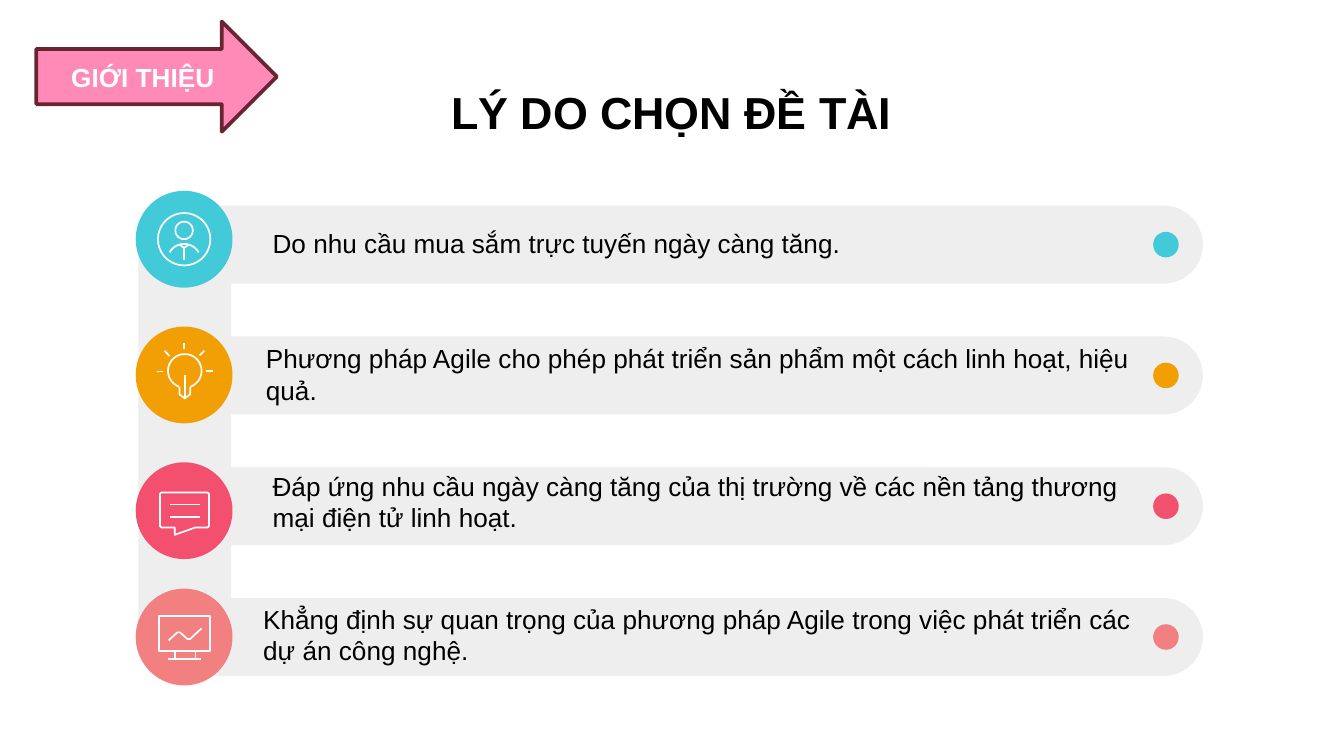
from dataclasses import dataclass
from math import cos, radians, sin

from pptx import Presentation
from pptx.dml.color import RGBColor
from pptx.enum.shapes import MSO_SHAPE
from pptx.enum.text import MSO_ANCHOR, PP_ALIGN
from pptx.util import Inches, Pt

OVAL = MSO_SHAPE.OVAL
ROUND = MSO_SHAPE.ROUNDED_RECTANGLE
DIAG = MSO_SHAPE.ROUND_2_DIAG_RECTANGLE
ARROW = MSO_SHAPE.RIGHT_ARROW
MIDDLE = MSO_ANCHOR.MIDDLE
CENTER = PP_ALIGN.CENTER

FONT = "Arial"
GREY, WHITE, BLACK = "EEEEEE", "FFFFFF", "000000"
Line = list[tuple[float, float]]


@dataclass
class Reason:
    text: str
    color: str
    left: float   # text box
    top: float
    width: float
    badge: float  # top of the badge
    icon: list[Line]


def rgb(code: str) -> RGBColor:
    return RGBColor.from_string(code)


def arc(x: float, y: float, r: float, start: int = 0, end: int = 360) -> Line:
    return [(x + r * cos(radians(a)), y + r * sin(radians(a)))
            for a in range(start, end + 1, 10)]


def add_form(shapes, kind, x: float, y: float, w: float, h: float, color: str):
    form = shapes.add_shape(kind, Inches(x), Inches(y), Inches(w), Inches(h))
    form.shadow.inherit = False
    form.fill.solid()
    form.fill.fore_color.rgb = rgb(color)
    form.line.fill.background()
    return form


def set_text(frame, text: str, size: int, color: str, bold: bool = False):
    frame.word_wrap = True
    par = frame.paragraphs[0]
    par.text = text
    par.font.name = FONT
    par.font.size = Pt(size)
    par.font.bold = bold
    par.font.color.rgb = rgb(color)
    return par


def add_stroke(shapes, line: Line, x: float, y: float) -> None:
    """Draw an icon line, given in hundredths of an inch around x, y."""
    pts = [(Inches(x + a / 100), Inches(y + b / 100)) for a, b in line]
    pen = shapes.build_freeform(*pts[0])
    pen.add_line_segments(pts[1:], close=False)
    form = pen.convert_to_shape()
    form.shadow.inherit = False
    form.fill.background()
    form.line.color.rgb = rgb(WHITE)
    form.line.width = Pt(0.9)


# Icons, in hundredths of an inch around the badge centre
USER = [
    arc(0, 0, 19.5),
    arc(0, -6.5, 6.5),
    arc(0, 16, 12.5, 210, 330),
    [(-3.5, 4), (0, 6.5), (3.5, 4)],
    [(0, 6.5), (0, 15.5)],
]
BULB = [
    arc(0.5, -3, 12.5, 110, 430),
    [(-3.5, 9), (-3.5, 14.5), (0.5, 17.5), (4.5, 14.5), (4.5, 9)],
    [(0.5, 0), (0.5, 17.5)],
    [(0, -23.5), (0, -19)],
    [(-14.5, -18), (-11, -14)],
    [(15, -18), (11.5, -14.5)],
    [(-20.5, -2.5), (-15.5, -2.5)],
    [(16.5, -3), (21.5, -3)],
]
CHAT = [
    [(-7, 12.5), (-17, 12.5), (-18, 11.5), (-18, -12.5), (-17, -13.5),
     (17.5, -13.5), (18.5, -12.5), (18.5, 11.5), (17.5, 12.5),
     (8.5, 12.5), (-7, 18), (-7, 12.5)],
    [(-10.5, -4.5), (11.5, -4.5)],
    [(-10.5, 4.5), (11.5, 4.5)],
]
SCREEN = [
    [(-18.5, -15.5), (19.5, -15.5), (19.5, 10.5), (-18.5, 10.5),
     (-18.5, -15.5)],
    [(-7, 10.5), (-7, 16.5)],
    [(8.5, 10.5), (8.5, 16.5)],
    [(-12, 16.5), (12.5, 16.5)],
    [(-11.5, 2.5), (-5, -3.5), (-3, -3.5), (2.5, 1.5), (4.5, 1.5),
     (13, -6.5)],
]

REASONS = [
    Reason("Do nhu cầu mua sắm trực tuyến ngày càng tăng.",
           "43CAD9", 1.93, 1.64, 7.16, 1.42, USER),
    Reason("Phương pháp Agile cho phép phát triển sản phẩm một cách "
           "linh hoạt, hiệu quả.",
           "F29F05", 1.88, 2.5, 6.79, 2.43, BULB),
    Reason("Đáp ứng nhu cầu ngày càng tăng của thị trường về các nền tảng "
           "thương mại điện tử linh hoạt.",
           "F2506E", 1.93, 3.45, 6.65, 3.44, CHAT),
    Reason("Khẳng định sự quan trọng của phương pháp Agile trong việc "
           "phát triển các dự án công nghệ.",
           "F28080", 1.86, 4.44, 6.72, 4.38, SCREEN),
]
TOP, LAST = 1.53, 4.45  # first and last bar
STEP = (LAST - TOP) / (len(REASONS) - 1)
BAR, DOT, BADGE = 0.58, 0.19, 0.72
MID = 1.37  # centre line of the badges


def add_reason(shapes, row: int, item: Reason) -> None:
    # Bar with its end dot
    y = TOP + row * STEP
    bar = add_form(shapes, ROUND, 1.04, y, 7.91, BAR, GREY)
    bar.adjustments[0] = 0.5
    add_form(shapes, OVAL, 8.58, y + (BAR - DOT) / 2, DOT, DOT, item.color)
    # Badge with its icon
    add_form(shapes, OVAL, MID - BADGE / 2, item.badge, BADGE, BADGE,
             item.color)
    for line in item.icon:
        add_stroke(shapes, line, MID, item.badge + BADGE / 2)
    # Wording
    box = shapes.add_textbox(Inches(item.left), Inches(item.top),
                             Inches(item.width), Inches(0.57))
    set_text(box.text_frame, item.text, 14, BLACK)


def main() -> None:
    deck = Presentation()
    deck.slide_width = Inches(10)
    deck.slide_height = deck.slide_width * 9 // 16
    slide = deck.slides.add_slide(deck.slide_layouts[5])
    shapes = slide.shapes

    # Title
    title = shapes.title
    title.left, title.top = Inches(3.12), Inches(0.59)
    title.width, title.height = Inches(3.75), Inches(0.53)
    title.text_frame.vertical_anchor = MIDDLE
    par = set_text(title.text_frame, "LÝ DO CHỌN ĐỀ TÀI", 24, BLACK, True)
    par.alignment = CENTER
    par.line_spacing = 0.9

    # Spine and reasons
    spine = add_form(shapes, DIAG, 1.03, 1.47, 0.69, 3.62, GREY)
    spine.adjustments[0], spine.adjustments[1] = 0.48, 0.47
    for row, item in enumerate(REASONS):
        add_reason(shapes, row, item)

    # Section arrow
    arrow = add_form(shapes, ARROW, 0.27, 0.16, 1.79, 0.82, "FF8AB7")
    arrow.line.color.rgb = rgb("6A2330")
    arrow.line.width = Pt(2)
    arrow.text_frame.vertical_anchor = MIDDLE
    set_text(arrow.text_frame, "GIỚI THIỆU", 14, WHITE, True).alignment = CENTER

    deck.save("out.pptx")


if __name__ == "__main__":
    main()
